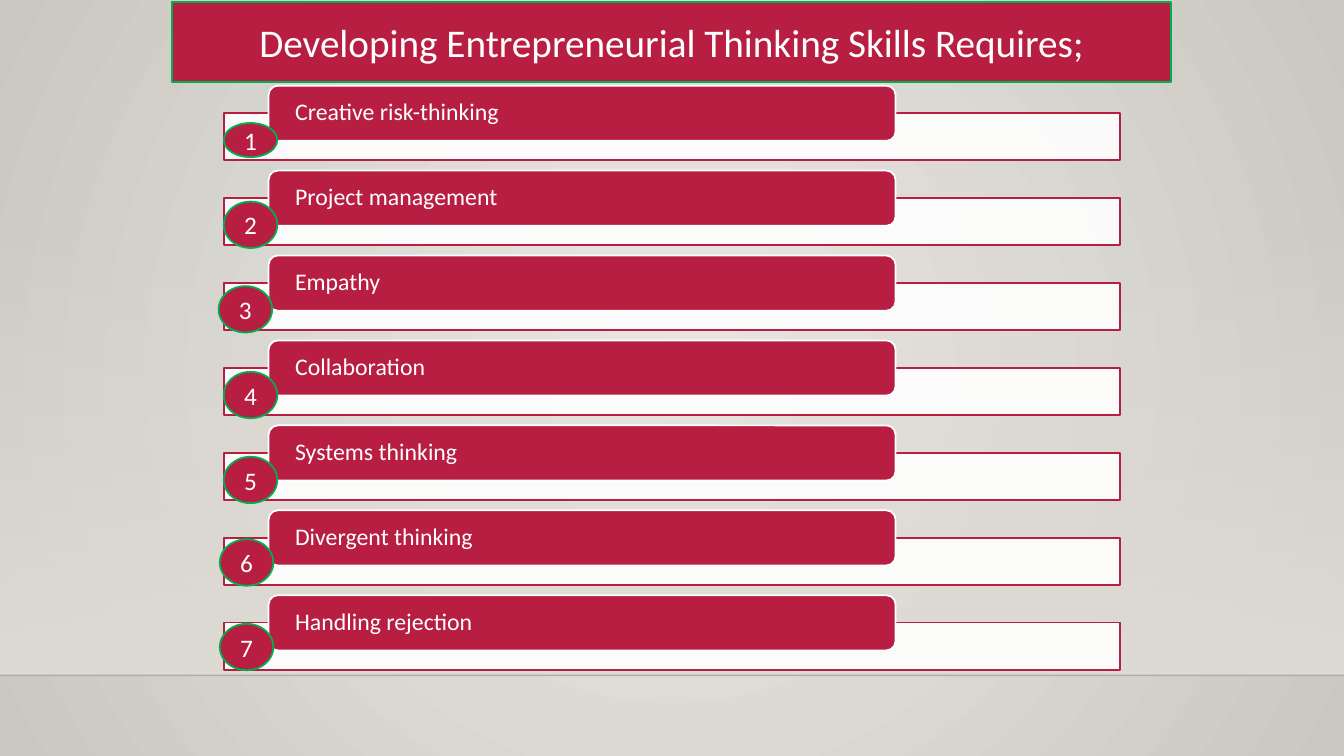
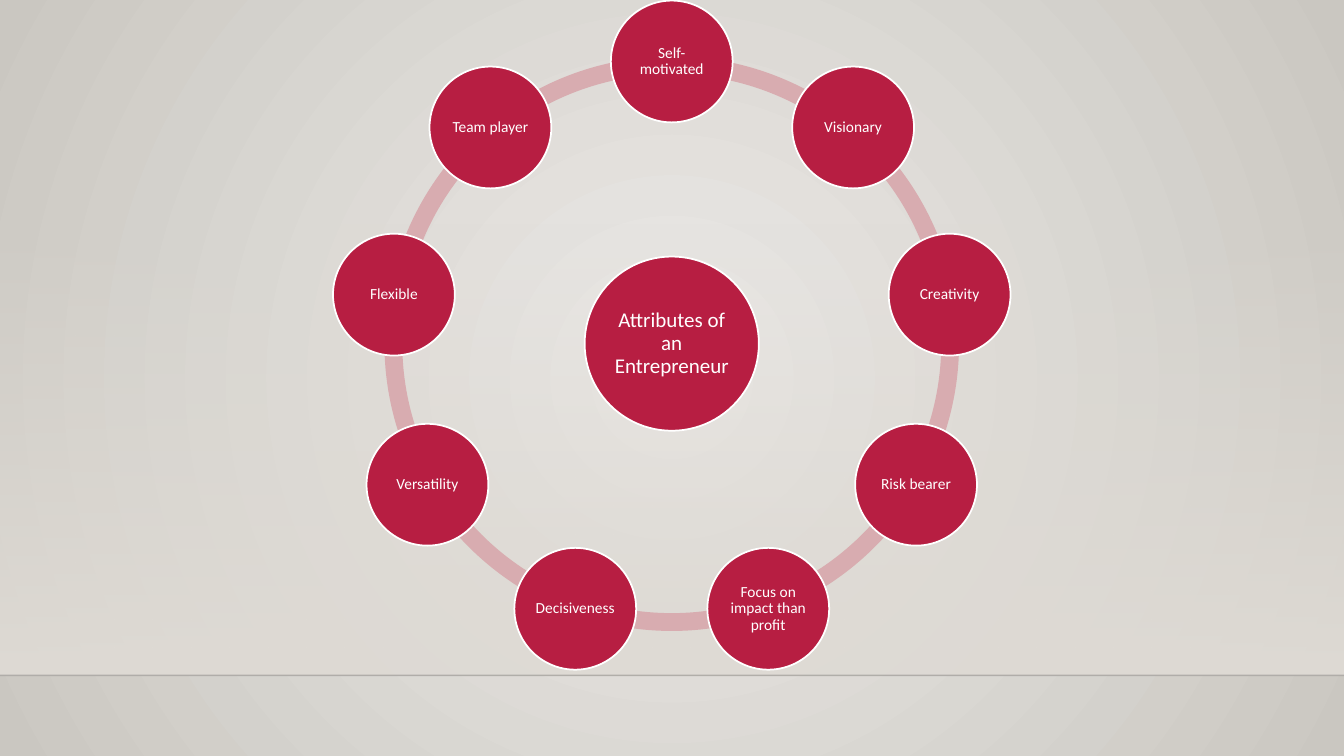
from math import cos, radians, sin

from lxml.etree import SubElement
from pptx import Presentation
from pptx.dml.color import RGBColor
from pptx.enum.shapes import MSO_CONNECTOR, MSO_SHAPE
from pptx.enum.text import MSO_ANCHOR, PP_ALIGN
from pptx.oxml import parse_xml
from pptx.oxml.ns import nsdecls, qn
from pptx.util import Cm, Pt

# Shared look
CRIMSON = RGBColor(0xB7, 0x1E, 0x42)
ROSE = RGBColor(0xD8, 0xAC, 0xB0)
GREEN = RGBColor(0x00, 0xB0, 0x50)
WHITE = RGBColor(0xFF, 0xFF, 0xFF)
NEAR_BLACK = RGBColor(0x00, 0x00, 0x01)
SAND = RGBColor(0xDF, 0xDB, 0xD5)
LIGHT_SAND = RGBColor(0xEC, 0xEA, 0xE7)
DARK_SAND = RGBColor(0xCA, 0xC7, 0xC1)
FONT = "Calibri"
OUTLINE = Pt(1.25)
SLIDE_WIDTH, SLIDE_HEIGHT = 33.87, 19.05
FLOOR = 17.02

# Skill rows: text, then left, top and height of the number badge (cm)
SKILLS = [
    ("Creative risk-thinking", 5.64, 3.1, 0.86),
    ("Project management", 5.64, 5.08, 1.17),
    ("Empathy", 5.51, 7.21, 1.17),
    ("Collaboration", 5.64, 9.37, 1.17),
    ("Systems thinking", 5.64, 11.51, 1.17),
    ("Divergent thinking", 5.54, 13.59, 1.17),
    ("Handling rejection", 5.54, 15.72, 1.17),
]
ROW_PITCH = 2.14

# Attribute circle, clockwise from the top (cm)
ATTRIBUTES = [
    "Self- motivated", "Visionary", "Creativity", "Risk bearer",
    "Focus on impact than profit", "Decisiveness", "Versatility",
    "Flexible", "Team player",
]
CENTER_X, CENTER_Y = 16.93, 8.66
ORBIT = 7.11
RING_DIAMETER = 14.48
HUB_DIAMETER = 4.39
NODE_DIAMETER = 3.07


def set_opacity(parent, percent):
    """Make the solid colour held directly by parent partly transparent."""
    color = parent.find(qn("a:solidFill")).find(qn("a:srgbClr"))
    SubElement(color, qn("a:alpha"), val=str(percent * 1000))


def set_gradient(parent, stops, direction):
    """Swap parent's solid fill for a gradient of (position, colour, opacity)."""
    stop_xml = "".join(
        f'<a:gs pos="{position * 1000}"><a:srgbClr val="{color}">'
        f'<a:alpha val="{opacity * 1000}"/></a:srgbClr></a:gs>'
        for position, color, opacity in stops
    )
    gradient = parse_xml(
        f'<a:gradFill {nsdecls("a")} rotWithShape="1">'
        f"<a:gsLst>{stop_xml}</a:gsLst>{direction}</a:gradFill>"
    )
    parent.replace(parent.find(qn("a:solidFill")), gradient)


def add_box(slide, kind, left, top, width, height, fill, line=None):
    shape = slide.shapes.add_shape(kind, Cm(left), Cm(top), Cm(width), Cm(height))
    shape.shadow.inherit = False
    shape.fill.solid()
    shape.fill.fore_color.rgb = fill
    if line is None:
        shape.line.fill.background()
    else:
        shape.line.color.rgb = line
        shape.line.width = OUTLINE
    return shape


def add_disc(slide, center_x, center_y, diameter):
    return add_box(slide, MSO_SHAPE.OVAL, center_x - diameter / 2,
                   center_y - diameter / 2, diameter, diameter, CRIMSON, WHITE)


def write(shape, text, size, align=PP_ALIGN.CENTER, side=0.05, spacing=1.0):
    frame = shape.text_frame
    frame.word_wrap = True
    frame.vertical_anchor = MSO_ANCHOR.MIDDLE
    frame.margin_left = frame.margin_right = Cm(side)
    frame.margin_top = frame.margin_bottom = Cm(0)
    paragraph = frame.paragraphs[0]
    paragraph.alignment = align
    paragraph.line_spacing = spacing
    run = paragraph.add_run()
    run.text = text
    run.font.name = FONT
    run.font.size = Pt(size)
    run.font.color.rgb = WHITE


def style_master(master, slide):
    """Give the master its background, wall band and floor line."""
    master.background.fill.solid()
    set_gradient(
        master.element.xpath(".//p:bgPr")[0],
        [(0, LIGHT_SAND, 100), (100, DARK_SAND, 100)],
        '<a:path path="circle"><a:fillToRect l="50000" t="50000" '
        'r="50000" b="50000"/></a:path>',
    )
    wall = add_box(slide, MSO_SHAPE.RECTANGLE, 0, 5.61, SLIDE_WIDTH, FLOOR - 5.61, SAND)
    set_gradient(wall.element.spPr, [(0, SAND, 0), (100, SAND, 100)],
                 '<a:lin ang="5400000" scaled="0"/>')

    floor = slide.shapes.add_connector(
        MSO_CONNECTOR.STRAIGHT, Cm(0), Cm(FLOOR), Cm(SLIDE_WIDTH), Cm(FLOOR))
    floor.line.color.rgb = NEAR_BLACK
    floor.line.width = Pt(1)
    set_opacity(floor.element.spPr.find(qn("a:ln")), 20)
    SubElement(floor.element.spPr, qn("a:effectLst"))

    # Shapes can only be created on a slide, so move them to the master
    for number, shape in enumerate((wall, floor), start=101):
        shape.element.xpath("./*/p:cNvPr")[0].set("id", str(number))
        master.shapes.element.append(shape.element)


def build_skills(slide):
    title = add_box(slide, MSO_SHAPE.RECTANGLE, 4.34, 0.05, 25.17, 2.01, CRIMSON, GREEN)
    write(title, "Developing Entrepreneurial Thinking Skills Requires;", 28)

    for index, (skill, badge_left, badge_top, badge_height) in enumerate(SKILLS):
        offset = index * ROW_PITCH
        bar = add_box(slide, MSO_SHAPE.RECTANGLE, 5.64, 2.85 + offset,
                      22.58, 1.19, WHITE, CRIMSON)
        set_opacity(bar.element.spPr, 90)
        tab = add_box(slide, MSO_SHAPE.ROUNDED_RECTANGLE, 6.77, 2.16 + offset,
                      15.8, 1.39, CRIMSON, WHITE)
        write(tab, skill, 17, align=PP_ALIGN.LEFT, side=0.6, spacing=0.9)
        badge = add_box(slide, MSO_SHAPE.OVAL, badge_left, badge_top,
                        1.35, badge_height, CRIMSON, GREEN)
        write(badge, str(index + 1), 18, side=0)


def build_attributes(slide):
    step = 360 / len(ATTRIBUTES)
    angles = [270 + index * step for index in range(len(ATTRIBUTES))]

    # Ring segments between neighbouring circles
    for angle in angles:
        arc = add_box(slide, MSO_SHAPE.BLOCK_ARC, CENTER_X - RING_DIAMETER / 2,
                      CENTER_Y - RING_DIAMETER / 2, RING_DIAMETER, RING_DIAMETER, ROSE)
        # Angles count in 60000ths of a degree, adjustments in 100000ths
        arc.adjustments[0] = angle % 360 * 0.6
        arc.adjustments[1] = (angle + step) % 360 * 0.6
        arc.adjustments[2] = 0.031

    # Hub and circles
    hub = add_disc(slide, CENTER_X, CENTER_Y, HUB_DIAMETER)
    write(hub, "Attributes of an Entrepreneur", 15, spacing=0.9)
    for angle, attribute in zip(angles, ATTRIBUTES):
        node = add_disc(slide, CENTER_X + ORBIT * cos(radians(angle)),
                        CENTER_Y + ORBIT * sin(radians(angle)), NODE_DIAMETER)
        write(node, attribute, 11, spacing=0.9)


def main():
    presentation = Presentation()
    presentation.slide_width = Cm(SLIDE_WIDTH)
    presentation.slide_height = Cm(SLIDE_HEIGHT)
    blank = presentation.slide_layouts[6]
    skills_slide = presentation.slides.add_slide(blank)
    attributes_slide = presentation.slides.add_slide(blank)
    style_master(presentation.slide_master, skills_slide)
    build_skills(skills_slide)
    build_attributes(attributes_slide)
    presentation.save("out.pptx")


if __name__ == "__main__":
    main()
